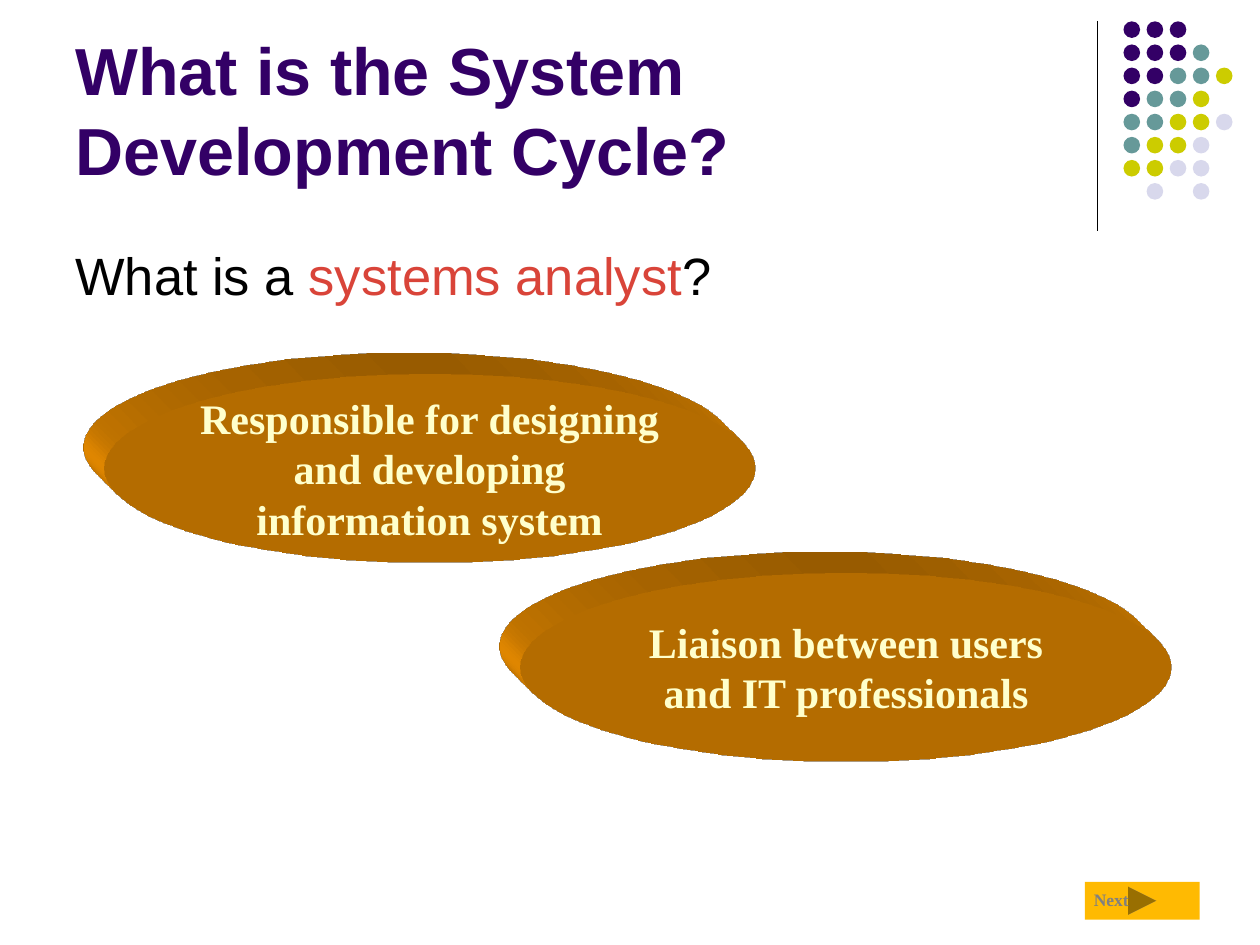
from lxml import etree
from pptx import Presentation
from pptx.dml.color import RGBColor
from pptx.enum.shapes import MSO_CONNECTOR, MSO_SHAPE
from pptx.enum.text import MSO_ANCHOR, PP_ALIGN
from pptx.oxml import parse_xml
from pptx.oxml.ns import nsdecls, qn
from pptx.util import Pt

OVAL, NEXT = MSO_SHAPE.OVAL, MSO_SHAPE.ACTION_BUTTON_FORWARD_OR_NEXT
TOP, MIDDLE, BOTTOM = MSO_ANCHOR.TOP, MSO_ANCHOR.MIDDLE, MSO_ANCHOR.BOTTOM
LEFT, CENTER = PP_ALIGN.LEFT, PP_ALIGN.CENTER

THEME = {
    "purple": "330066", "teal": "669999", "lime": "CCCC00", "mist": "D8D8EC",
    "black": "000000", "red": "D94439", "gold": "FFBA02", "orange": "FF9900",
    "cream": "FFFFCC", "gray": "808080",
    "title": {"name": "Arial", "size": Pt(38), "bold": True},
    "body": {"name": "Arial", "size": Pt(30), "bold": False},
    "oval": {"name": "Times New Roman", "size": Pt(24), "bold": True},
    "button": {"name": "Times New Roman", "size": Pt(10), "bold": True},
}
TITLE = [("What is the System Development Cycle?", "purple")]
QUESTION = [("What is a ", "black"), ("systems analyst", "red"), ("?", "black")]
DUTIES = [
    ("Responsible for designing and developing information system", 59.5, 213.5),
    ("Liaison between users and IT professionals", 297.5, 327),
]
DOTS = ["PPP", "PPPT", "PPTTL", "PTTL", "TTLLM", "TLLM", "LLMM", " M M"]
DOT_COLORS = {"P": "purple", "T": "teal", "L": "lime", "M": "mist"}
DOT_LEFT, DOT_TOP, DOT_SIZE, DOT_STEP = 642, 12.2, 9.5, 13.2


def rgb(name):
    return RGBColor.from_string(THEME[name])


def add_shape(s, kind, box, color):
    sp = s.shapes.add_shape(kind, *map(Pt, box))
    sp.shadow.inherit = False
    sp.fill.solid()
    sp.fill.fore_color.rgb = rgb(color)
    sp.line.fill.background()
    return sp


def set_text(sp, runs, style, anchor=TOP, align=LEFT, before=0, margins=None):
    tf = sp.text_frame
    tf.word_wrap, tf.vertical_anchor = True, anchor
    if margins is not None:
        for side in ("left", "top", "right", "bottom"):
            setattr(tf, f"margin_{side}", Pt(margins))
    p = tf.paragraphs[0]
    p.alignment, p.space_before = align, Pt(before)
    for text, color in runs:
        r = p.add_run()
        r.text = text
        for key, value in THEME[style].items():
            setattr(r.font, key, value)
        r.font.color.rgb = rgb(color)
    return p


def add_text(s, box, runs, style, **options):
    return set_text(s.shapes.add_textbox(*map(Pt, box)), runs, style, **options)


def extrude(sp):
    props = sp._element.spPr
    props.append(parse_xml(
        f'<a:scene3d {nsdecls("a")}><a:camera prst="legacyObliqueTopLeft"/>'
        '<a:lightRig rig="legacyFlat3" dir="t"/></a:scene3d>'))
    props.append(parse_xml(
        f'<a:sp3d {nsdecls("a")} extrusionH="430200" prstMaterial="legacyMatte">'
        f'<a:extrusionClr><a:srgbClr val="{THEME["orange"]}"/></a:extrusionClr></a:sp3d>'))


def main():
    """Build the systems analyst slide."""
    prs = Presentation()
    prs.slide_width, prs.slide_height = Pt(720), Pt(540)
    s = prs.slides.add_slide(prs.slide_layouts[6])

    rule = s.shapes.add_connector(MSO_CONNECTOR.STRAIGHT, *map(Pt, (627, 12, 627, 132)))
    rule.line.color.rgb, rule.line.width = rgb("black"), Pt(0.75)
    etree.SubElement(rule._element.spPr, qn("a:effectLst"))

    for row, marks in enumerate(DOTS):
        for col, mark in enumerate(marks):
            if mark in DOT_COLORS:
                box = (DOT_LEFT + col * DOT_STEP, DOT_TOP + row * DOT_STEP, DOT_SIZE, DOT_SIZE)
                add_shape(s, OVAL, box, DOT_COLORS[mark])

    add_text(s, (36, 9.5, 594, 102), TITLE, "title", anchor=BOTTOM)
    p = add_text(s, (36, 135.5, 648, 42.5), QUESTION, "body", before=6)
    for key, value in {"marL": 27, "indent": -27}.items():
        p._p.get_or_add_pPr().set(key, str(Pt(value)))

    add_shape(s, NEXT, (620, 504, 65.5, 21.5), "gold")
    add_text(s, (618, 504.5, 36.5, 19.5), [("Next", "gray")], "button", before=5)

    for text, left, top in DUTIES:
        sp = add_shape(s, OVAL, (left, top, 372, 108), "orange")
        set_text(sp, [(text, "cream")], "oval", anchor=MIDDLE, align=CENTER,
                 before=4.8, margins=0)
        extrude(sp)

    prs.save("out.pptx")


if __name__ == "__main__":
    main()
